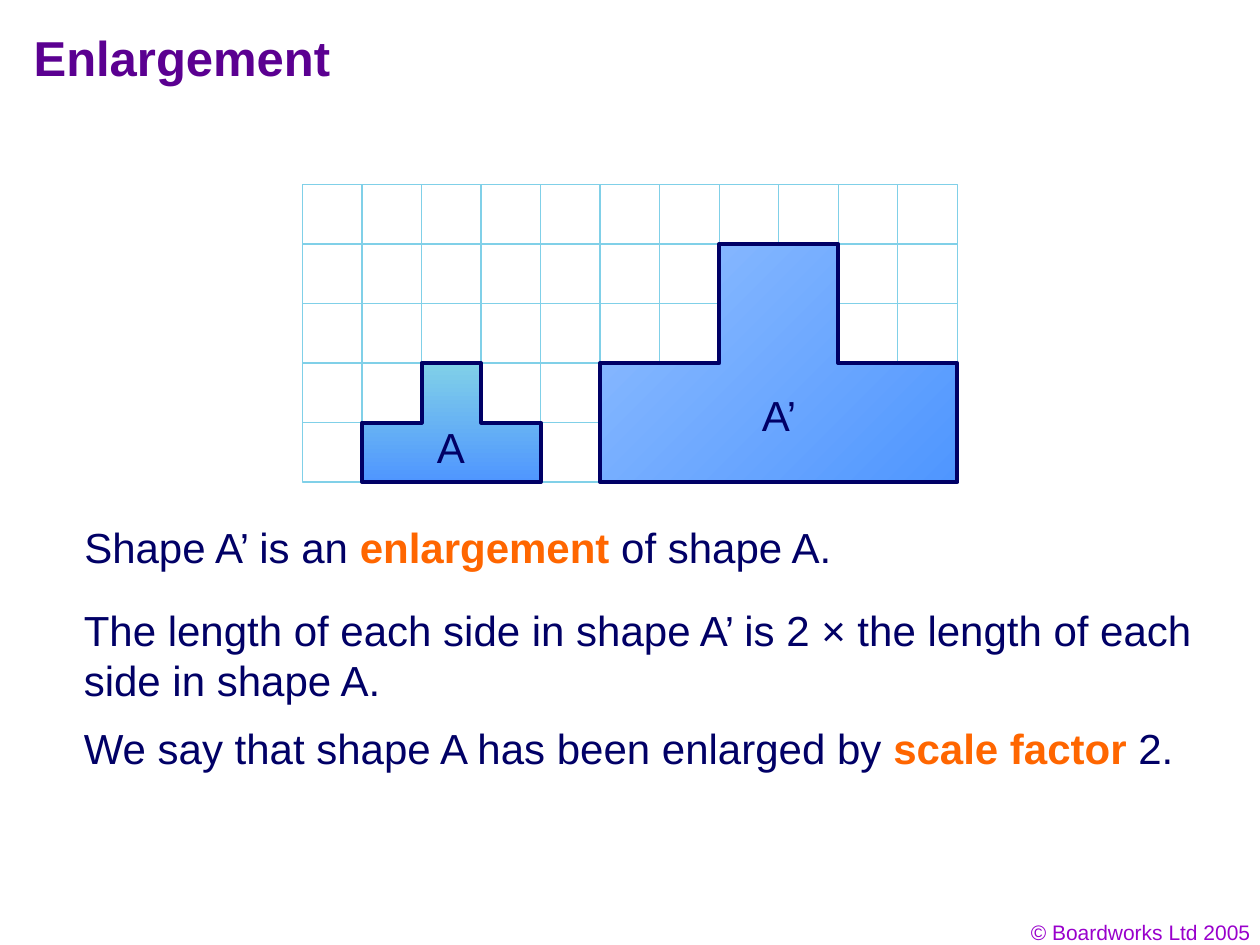
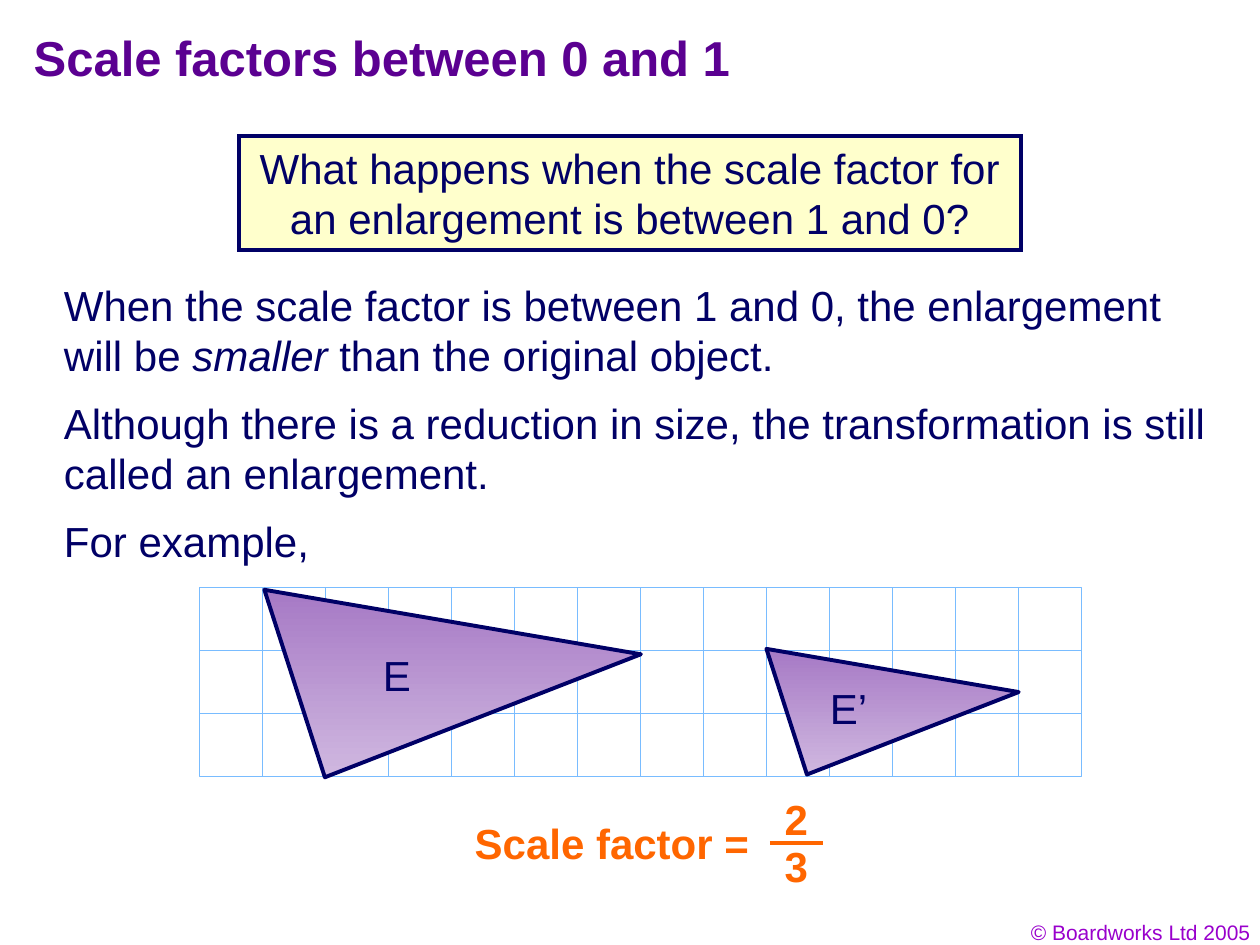
from dataclasses import dataclass
from itertools import product

from pptx import Presentation
from pptx.dml.color import RGBColor
from pptx.enum.shapes import MSO_CONNECTOR, MSO_SHAPE
from pptx.enum.text import MSO_ANCHOR, MSO_AUTO_SIZE, PP_ALIGN
from pptx.oxml.ns import qn
from pptx.util import Cm, Pt
from lxml import etree

LEFT, CENTER, RIGHT = PP_ALIGN.LEFT, PP_ALIGN.CENTER, PP_ALIGN.RIGHT
TOP = MSO_ANCHOR.TOP
FIT_TEXT, FIXED_SIZE = MSO_AUTO_SIZE.SHAPE_TO_FIT_TEXT, MSO_AUTO_SIZE.NONE
RECTANGLE = MSO_SHAPE.RECTANGLE
STRAIGHT = MSO_CONNECTOR.STRAIGHT

FONT = "Arial"
TITLE_PURPLE = "5B0091"
FOOTER_PURPLE = "9900CC"
INK = "010066"
OUTLINE = "000066"
ORANGE = "FF6600"
CREAM = "FFFFCC"
BLUE_FADE = ("80D0E8", "4F96FF")
DIAGONAL_FADE = ("91BEFF", "4F96FF")
VIOLET_FADE = ("A679C5", "D0B8E0")


@dataclass
class Span:
    text: str
    color: str = INK
    bold: bool = False
    italic: bool = False
    size: float = 24


@dataclass
class Label:
    left: float
    top: float
    width: float
    height: float
    spans: list[Span]
    align: int = LEFT
    wrap: bool = False


@dataclass
class Grid:
    left: float
    top: float
    cell: float
    columns: int
    rows: int
    color: str


@dataclass
class Figure:
    points: list[tuple[float, float]]
    fade: tuple[str, str]
    angle: float


def rgb(value: str) -> RGBColor:
    return RGBColor.from_string(value)


def write_spans(box, label: Label) -> None:
    frame = box.text_frame
    frame.word_wrap = label.wrap
    frame.auto_size = FIXED_SIZE if label.wrap else FIT_TEXT
    frame.vertical_anchor = TOP
    para = frame.paragraphs[0]
    para.alignment = label.align
    for span in label.spans:
        run = para.add_run()
        run.text = span.text
        run.font.name = FONT
        run.font.size = Pt(span.size)
        run.font.bold = span.bold
        run.font.italic = span.italic
        run.font.color.rgb = rgb(span.color)


def add_label(page, label: Label) -> None:
    box = page.shapes.add_textbox(
        Cm(label.left), Cm(label.top), Cm(label.width), Cm(label.height))
    write_spans(box, label)


def add_banner(page, label: Label) -> None:
    box = page.shapes.add_shape(
        RECTANGLE, Cm(label.left), Cm(label.top), Cm(label.width), Cm(label.height))
    box.shadow.inherit = False
    box.fill.solid()
    box.fill.fore_color.rgb = rgb(CREAM)
    set_line(box, OUTLINE, 2.25)
    etree.SubElement(box.line._get_or_add_ln(), qn("a:miter"), lim="800000")
    write_spans(box, label)


def set_line(shape, color: str, width: float) -> None:
    shape.line.color.rgb = rgb(color)
    shape.line.width = Pt(width)


def add_grid(page, grid: Grid) -> None:
    for row, column in product(range(grid.rows), range(grid.columns)):
        square = page.shapes.add_shape(
            RECTANGLE,
            Cm(grid.left + column * grid.cell), Cm(grid.top + row * grid.cell),
            Cm(grid.cell), Cm(grid.cell))
        square.shadow.inherit = False
        square.fill.background()
        set_line(square, grid.color, 0.75)


def add_figure(page, figure: Figure) -> None:
    corners = [(Cm(x), Cm(y)) for x, y in figure.points]
    builder = page.shapes.build_freeform(*corners[0])
    builder.add_line_segments(corners[1:], close=True)
    shape = builder.convert_to_shape()
    shape.shadow.inherit = False
    shape.fill.gradient()
    shape.fill.gradient_angle = figure.angle
    for stop, color, position in zip(shape.fill.gradient_stops, figure.fade, (0, 1)):
        stop.color.rgb = rgb(color)
        stop.position = position
    set_line(shape, OUTLINE, 2.25)


def add_rule(page, left: float, right: float, y: float) -> None:
    rule = page.shapes.add_connector(STRAIGHT, Cm(left), Cm(y), Cm(right), Cm(y))
    set_line(rule, ORANGE, 2.25)
    etree.SubElement(rule._element.spPr, qn("a:effectLst"))


def t_shape(left: float, bottom: float, unit: float) -> list[tuple[float, float]]:
    steps = [(0, 0), (0, 1), (1, 1), (1, 2), (2, 2), (2, 1), (3, 1), (3, 0)]
    return [(left + x * unit, bottom - y * unit) for x, y in steps]


def triangle(left: float, top: float, scale: float) -> list[tuple[float, float]]:
    corners = [(1.22, 3.78), (0, 0), (7.59, 1.3)]
    return [(left + x * scale, top + y * scale) for x, y in corners]


def add_page(deck, title: str):
    page = deck.slides.add_slide(deck.slide_layouts[6])
    add_label(page, Label(19.54, 18.42, 5.92, 0.76,
                          [Span("© Boardworks Ltd 2005", FOOTER_PURPLE, size=12)],
                          RIGHT, wrap=True))
    add_label(page, Label(0.43, 0.43, 21.6, 1.7,
                          [Span(title, TITLE_PURPLE, bold=True, size=28)],
                          wrap=True))
    return page


def build_enlargement(deck) -> None:
    page = add_page(deck, "Enlargement")
    grid = Grid(6.1, 3.72, 1.2, 11, 5, "80D0E8")
    bottom = grid.top + grid.rows * grid.cell
    add_grid(page, grid)
    add_figure(page, Figure(
        t_shape(grid.left + grid.cell, bottom, grid.cell), BLUE_FADE, 270))
    add_figure(page, Figure(
        t_shape(grid.left + 5 * grid.cell, bottom, 2 * grid.cell), DIAGONAL_FADE, 315))
    labels = [
        Label(8.56, 8.38, 1.07, 1.27, [Span("A")]),
        Label(15.11, 7.72, 1.24, 1.27, [Span("A’")]),
        Label(1.45, 10.39, 15.75, 1.27, [
            Span("Shape A’ is an "),
            Span("enlargement", ORANGE, bold=True),
            Span(" of shape A.")]),
        Label(1.44, 12.06, 23.01, 2.29, [
            Span("The length of each side in shape A’ is 2 × the length of each "
                 "side in shape A.")], wrap=True),
        Label(1.44, 14.45, 23.01, 1.27, [
            Span("We say that shape A has been enlarged by "),
            Span("scale factor", ORANGE, bold=True),
            Span(" 2.")], wrap=True),
    ]
    for label in labels:
        add_label(page, label)


def build_scale_factors(deck) -> None:
    page = add_page(deck, "Scale factors between 0 and 1")
    add_banner(page, Label(4.81, 2.75, 15.77, 2.29, [
        Span("What happens when the scale factor for an enlargement is "
             "between 1 and 0?")], CENTER, wrap=True))
    add_grid(page, Grid(4.02, 11.84, 1.27, 14, 3, "79BCFF"))
    add_figure(page, Figure(triangle(5.33, 11.89, 1), VIOLET_FADE, 270))
    add_figure(page, Figure(triangle(15.45, 13.08, 0.67), VIOLET_FADE, 270))
    labels = [
        Label(1.04, 5.51, 23.65, 2.29, [
            Span("When the scale factor is between 1 and 0, the enlargement will be "),
            Span("smaller", italic=True),
            Span(" than the original object.")], wrap=True),
        Label(1.04, 7.89, 23.65, 2.29, [
            Span("Although there is a reduction in size, the transformation is "
                 "still called an enlargement.")], wrap=True),
        Label(1.04, 10.26, 5.44, 1.27, [Span("For example,")]),
        Label(7.47, 12.96, 1.07, 1.27, [Span("E")]),
        Label(16.48, 13.64, 1.26, 1.27, [Span("E’")]),
        Label(9.32, 16.36, 6.04, 1.27, [Span("Scale factor =", ORANGE, bold=True)]),
        Label(15.57, 15.88, 0.97, 1.27, [Span("2", ORANGE, bold=True)]),
        Label(15.57, 16.81, 0.97, 1.27, [Span("3", ORANGE, bold=True)]),
    ]
    for label in labels:
        add_label(page, label)
    add_rule(page, 15.52, 16.59, 16.99)


def main() -> None:
    deck = Presentation()
    deck.slide_width = Cm(25.4)
    deck.slide_height = Cm(19.05)
    build_enlargement(deck)
    build_scale_factors(deck)
    deck.save("out.pptx")


if __name__ == "__main__":
    main()
